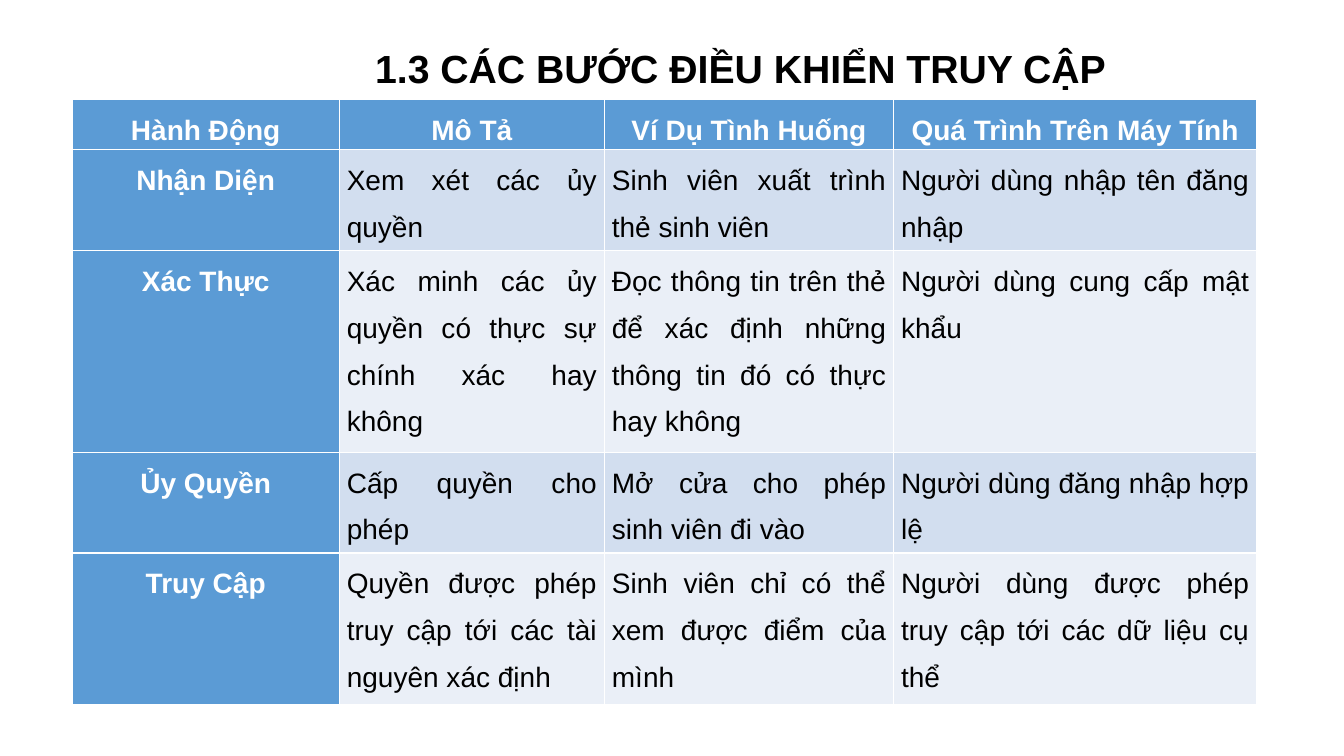
"""Build a slide with a table of the access control steps."""
from pptx import Presentation
from pptx.dml.color import RGBColor
from pptx.enum.text import MSO_ANCHOR as Anchor, MSO_AUTO_SIZE as AutoSize, PP_ALIGN as Align
from pptx.util import Cm, Pt

BLUE, WHITE, BLACK = "5B9BD5", "FFFFFF", "000000"
BANDS = ["D2DEEF", "EAEFF7"]
ROWS = [
    ["Hành Động", "Mô Tả", "Ví Dụ Tình Huống", "Quá Trình Trên Máy Tính"],
    ["Nhận Diện", "Xem xét các ủy quyền", "Sinh viên xuất trình thẻ sinh viên",
     "Người dùng nhập tên đăng nhập"],
    ["Xác Thực", "Xác minh các ủy quyền có thực sự chính xác hay không",
     "Đọc thông tin trên thẻ để xác định những thông tin đó có thực hay không",
     "Người dùng cung cấp mật khẩu"],
    ["Ủy Quyền", "Cấp quyền cho phép", "Mở cửa cho phép sinh viên đi vào",
     "Người dùng đăng nhập hợp lệ"],
    ["Truy Cập", "Quyền được phép truy cập tới các tài nguyên xác định",
     "Sinh viên chỉ có thể xem được điểm của mình",
     "Người dùng được phép truy cập tới các dữ liệu cụ thể"],
]
COLUMN_WIDTHS = [6.73, 6.68, 7.29, 9.15]
ROW_HEIGHTS = [1.22, 2.44, 3.66, 2.44, 3.66]


def rgb(value):
    """Turn a hex string into a colour."""
    return RGBColor.from_string(value)


def write(frame, text, size=20, color=BLACK, bold=False, align=Align.LEFT, spacing=1.0):
    """Put one formatted paragraph into a text frame."""
    para = frame.paragraphs[0]
    para.alignment = align
    para.line_spacing = spacing
    span = para.add_run()
    span.text = text
    span.font.name = "Arial"
    span.font.size = Pt(size)
    span.font.bold = bold
    span.font.color.rgb = rgb(color)


deck = Presentation()
deck.slide_width, deck.slide_height = Cm(33.87), Cm(19.05)
page = deck.slides.add_slide(deck.slide_layouts[5])

title = page.shapes.title
title.left, title.top, title.width, title.height = Cm(9.2), Cm(1), Cm(19.13), Cm(1.45)
title.text_frame.word_wrap = False
title.text_frame.auto_size = AutoSize.SHAPE_TO_FIT_TEXT
title.text_frame.vertical_anchor = Anchor.TOP
write(title.text_frame, "1.3 CÁC BƯỚC ĐIỀU KHIỂN TRUY CẬP", size=28, bold=True)

table = page.shapes.add_table(
    len(ROWS), len(COLUMN_WIDTHS), Cm(1.82), Cm(2.5),
    Cm(sum(COLUMN_WIDTHS)), Cm(sum(ROW_HEIGHTS))).table
table.first_col = True
for column, width in zip(table.columns, COLUMN_WIDTHS):
    column.width = Cm(width)

for row_index, (texts, height) in enumerate(zip(ROWS, ROW_HEIGHTS)):
    table.rows[row_index].height = Cm(height)
    for column_index, text in enumerate(texts):
        heading = row_index == 0 or column_index == 0
        cell = table.cell(row_index, column_index)
        cell.margin_left = cell.margin_right = Cm(0.19)
        cell.margin_top = cell.margin_bottom = 0
        cell.fill.solid()
        cell.fill.fore_color.rgb = rgb(BLUE if heading else BANDS[(row_index - 1) % 2])
        write(cell.text_frame, text, color=WHITE if heading else BLACK, bold=heading,
              align=Align.CENTER if heading else Align.JUSTIFY, spacing=1.5)

deck.save("out.pptx")
